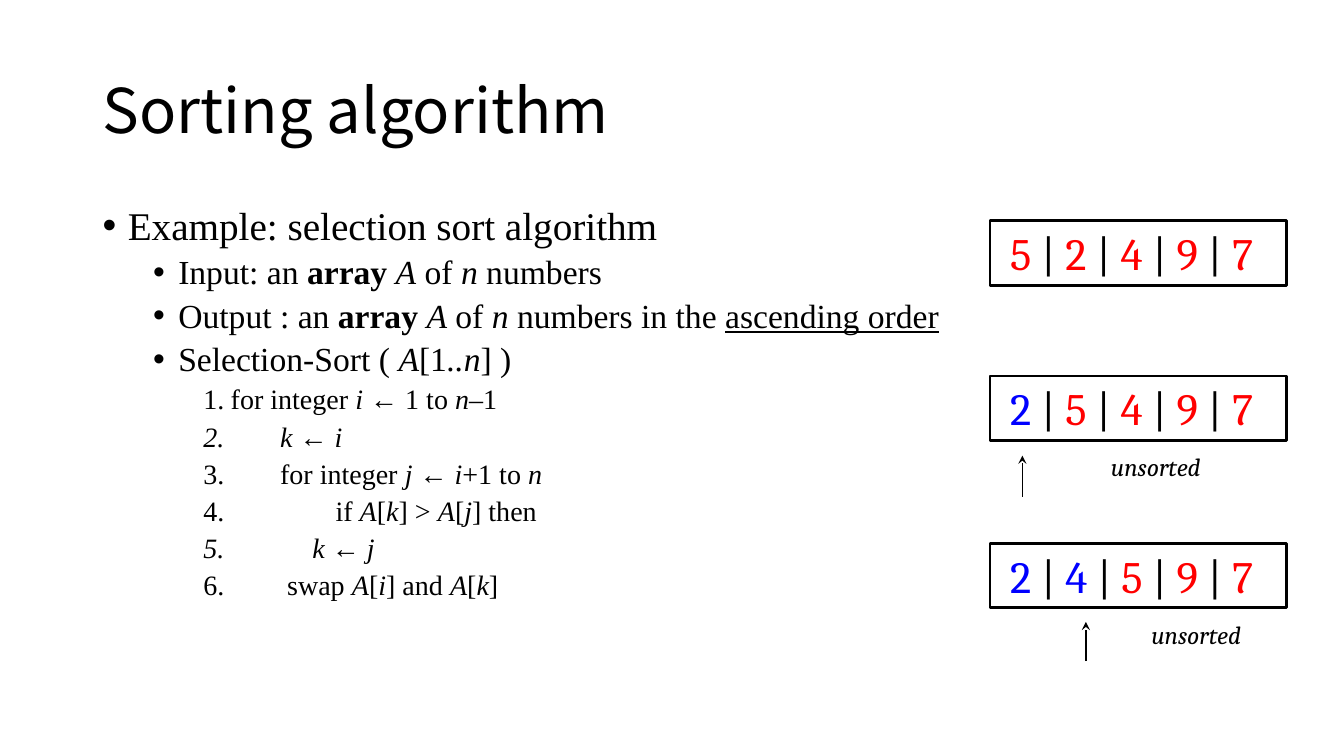
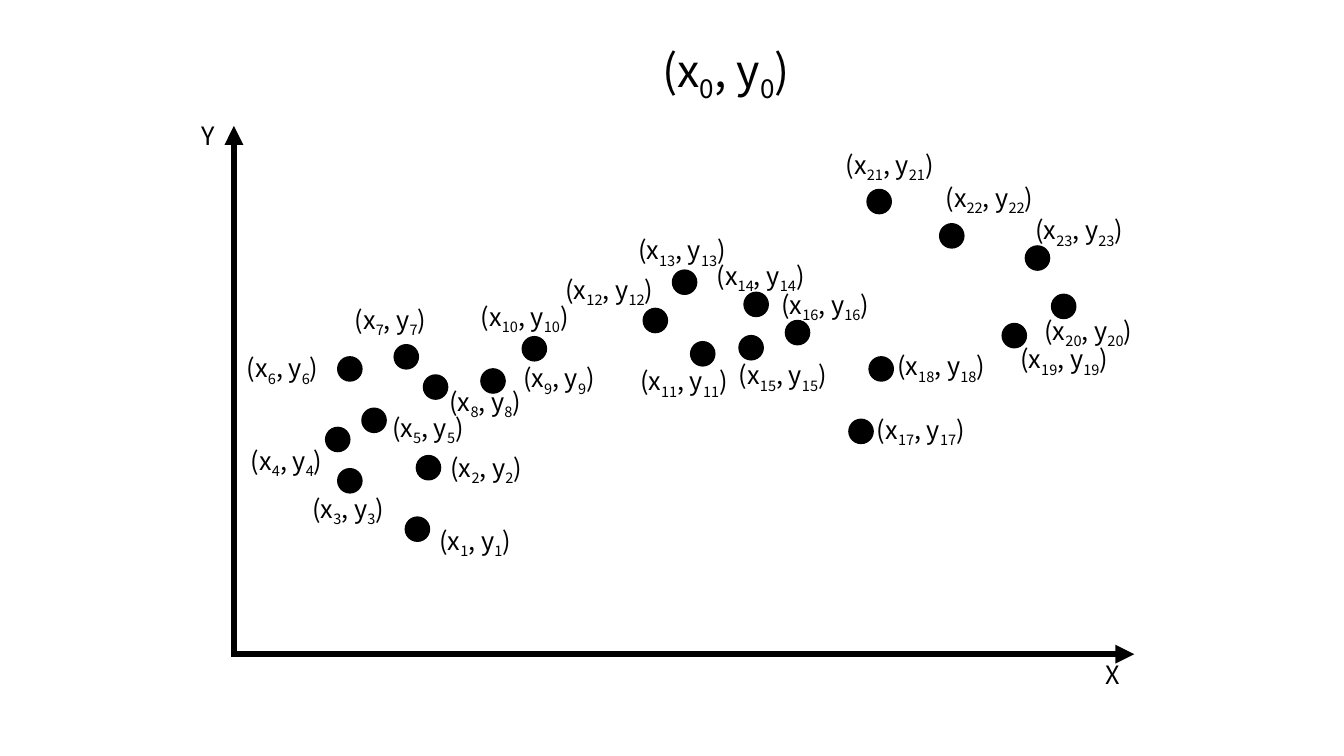
from lxml import etree
from pptx import Presentation
from pptx.dml.color import RGBColor
from pptx.enum.shapes import MSO_CONNECTOR as Line, MSO_SHAPE as Shape
from pptx.enum.text import MSO_ANCHOR as Anchor, MSO_AUTO_SIZE as Fit, PP_ALIGN as Align
from pptx.oxml.ns import qn
from pptx.util import Inches, Pt

COLORS = {name: RGBColor.from_string(value) for name, value in {
    "ink": "000000", "sorted": "0000FF", "unsorted": "FF0000"}.items()}
SANS, SERIF, BOOK = "Noto Sans CJK SC", "Times New Roman", "Cambria"


def write(paragraph, text, size, face):
    """Split text at ~; a piece may start with * italic, ^ bold, _ underline, - subscript."""
    paragraph.font.size, paragraph.font.name = Pt(size), face
    paragraph.font.color.rgb = COLORS["ink"]
    for piece in text.split("~"):
        mark = piece[0] if piece[0] in "*^_-" else ""
        run = paragraph.add_run()
        run.text = piece[len(mark):]
        if mark == "*":
            run.font.italic = True
        elif mark == "^":
            run.font.bold = True
        elif mark == "_":
            run.font.underline = True
        elif mark == "-":
            run._r.get_or_add_rPr().set("baseline", "-25000")


def add_arrow(slide, start, end, width, head):
    arrow = slide.shapes.add_connector(Line.STRAIGHT, *map(Inches, start + end))
    arrow.line.color.rgb = COLORS["ink"]
    arrow.line.width = Pt(width)
    etree.SubElement(arrow.line._get_or_add_ln(), qn("a:tailEnd"), type=head)
    etree.SubElement(arrow._element.spPr, qn("a:effectLst"))


deck = Presentation()
deck.slide_width, deck.slide_height = Inches(13.33), Inches(7.5)
blank = deck.slide_layouts[6]

# Slide 1: selection sort
sorting = deck.slides.add_slide(blank)
title = sorting.shapes.add_textbox(*map(Inches, (0.92, 0.4, 11.5, 1.45))).text_frame
title.word_wrap = True
title.vertical_anchor = Anchor.MIDDLE
title.paragraphs[0].line_spacing = 0.9
write(title.paragraphs[0], "Sorting algorithm", 44, SANS)

# Description and pseudocode: level, left margin in inches, text
outline = [
    (0, 0.25, "Example: selection sort algorithm"),
    (1, 0.75, "Input: an ~^array ~*A~ of ~*n~ numbers"),
    (1, 0.75, "Output : an ~^array ~*A~ of ~*n~ numbers in the ~_ascending order"),
    (1, 0.75, "Selection-Sort ( ~*A~[1~*..n~] )"),
    (2, 1.27, "for integer ~*i~ ← 1 to ~*n~–1"),
    (2, 1.76, "*k ~← ~*i"),
    (2, 1.76, "for integer ~*j ~← ~*i~+1 to ~*n"),
    (2, 2.31, "if ~*A~[~*k~] > ~*A~[~*j~] then"),
    (2, 2.08, "*k ~← ~*j"),
    (2, 1.83, "swap ~*A~[~*i~] and ~*A~[~*k~]"),
]
# Position of the bullet or line number, text size
levels = [(0, 28), (0.5, 24), (1, 20)]
code_line = 0
body = sorting.shapes.add_textbox(*map(Inches, (0.92, 2, 8.67, 4.76))).text_frame
body.word_wrap = True
for row, (level, margin, text) in enumerate(outline):
    item = body.add_paragraph() if row else body.paragraphs[0]
    marker, size = levels[level]
    item.level = level
    item.line_spacing = 0.9
    if row:
        item.space_before = Pt(5)
    props = item._p.get_or_add_pPr()
    props.set("marL", str(Inches(margin)))
    props.set("indent", str(Inches(marker) - Inches(margin)))
    if level < 2:
        etree.SubElement(props, qn("a:buFont"), typeface="Arial")
        etree.SubElement(props, qn("a:buChar"), char="•")
    else:
        code_line += 1
        etree.SubElement(props, qn("a:buFont"), typeface=SERIF)
        etree.SubElement(props, qn("a:buAutoNum"), type="arabicPeriod", startAt=str(code_line))
    write(item, text, size, SERIF)

# Array states: top, values, count of sorted values
for top, values, done in [(2.19, "52497", 0), (3.73, "25497", 1), (5.39, "24597", 2)]:
    array = sorting.shapes.add_shape(Shape.RECTANGLE, *map(Inches, (9.82, top, 2.94, 0.64)))
    array.shadow.inherit = False
    array.fill.background()
    array.line.color.rgb = COLORS["ink"]
    array.line.width = Pt(2)
    frame = array.text_frame
    frame.vertical_anchor = Anchor.TOP
    frame.margin_left = Inches(0.2)
    cells = frame.paragraphs[0]
    cells.alignment = Align.LEFT
    write(cells, "~ | ~".join(values), 32, BOOK)
    for index, run in enumerate(cells.runs):
        state = "ink" if index % 2 else "sorted" if index // 2 < done else "unsorted"
        run.font.color.rgb = COLORS[state]

# Pointers to the last sorted value, with the unsorted part named
for x, tip, foot, left, top in [(10.14, 4.52, 4.93, 10.92, 4.43),
                                (10.77, 6.17, 6.56, 11.32, 6.09)]:
    add_arrow(sorting, (x, foot), (x, tip), 1, "stealth")
    caption = sorting.shapes.add_textbox(*map(Inches, (left, top, 1.55, 0.41))).text_frame
    caption.word_wrap = True
    write(caption.paragraphs[0], "*unsorted", 18, BOOK)

# Slide 2: points in the plane
plane = deck.slides.add_slide(blank)
add_arrow(plane, (2.31, 6.49), (11.25, 6.49), 4.5, "triangle")
add_arrow(plane, (2.32, 6.52), (2.32, 1.25), 4.5, "triangle")

# Dots
dots = [
    (4.02, 5.13), (3.35, 4.65), (4.13, 4.52), (4.2, 3.72), (3.23, 4.24), (3.91, 3.42),
    (3.35, 3.54), (3.59, 4.05), (4.77, 3.66), (5.18, 3.34), (6.85, 3.39), (7.33, 3.33),
    (7.79, 3.18), (6.67, 2.68), (7.38, 2.9), (6.38, 3.06), (8.42, 4.16), (8.62, 3.54),
    (9.94, 3.21), (10.43, 2.92), (8.6, 1.88), (9.32, 2.22), (10.17, 2.44),
]
for left, top in dots:
    dot = plane.shapes.add_shape(Shape.OVAL, *map(Inches, (left, top, 0.24, 0.24)))
    dot.shadow.inherit = False
    dot.fill.solid()
    dot.fill.fore_color.rgb = COLORS["ink"]
    dot.line.color.rgb = COLORS["ink"]
    dot.line.width = Pt(1)

# Axis names and coordinate labels, the latter numbered from 0
places = [
    (6.47, 0.37), (4.26, 5.16), (4.37, 4.44), (3, 4.84), (2.39, 4.37), (3.79, 4.04),
    (2.35, 3.45), (3.42, 2.97), (4.36, 3.78), (5.09, 3.55), (4.67, 2.94), (6.25, 3.58),
    (5.51, 2.67), (6.23, 2.28), (7.01, 2.53), (7.23, 3.52), (7.65, 2.82), (8.6, 4.06),
    (8.8, 3.43), (10.02, 3.36), (10.26, 3.08), (8.29, 1.43), (9.28, 1.76), (10.17, 2.08),
]
labels = [("X", (10.87, 6.49), 0.35, 18), ("Y", (1.9, 1.14), 0.35, 18)]
for number, place in enumerate(places):
    width, size = (1.51, 32) if number == 0 else (0.94 if number < 10 else 1.13, 18)
    labels.append((f"(x~-{number}~, y~-{number}~)", place, width, size))
for text, (left, top), width, size in labels:
    height = 0.64 if size == 32 else 0.4
    label = plane.shapes.add_textbox(*map(Inches, (left, top, width, height))).text_frame
    label.word_wrap = False
    label.auto_size = Fit.SHAPE_TO_FIT_TEXT
    write(label.paragraphs[0], text, size, SANS)

deck.save("out.pptx")
